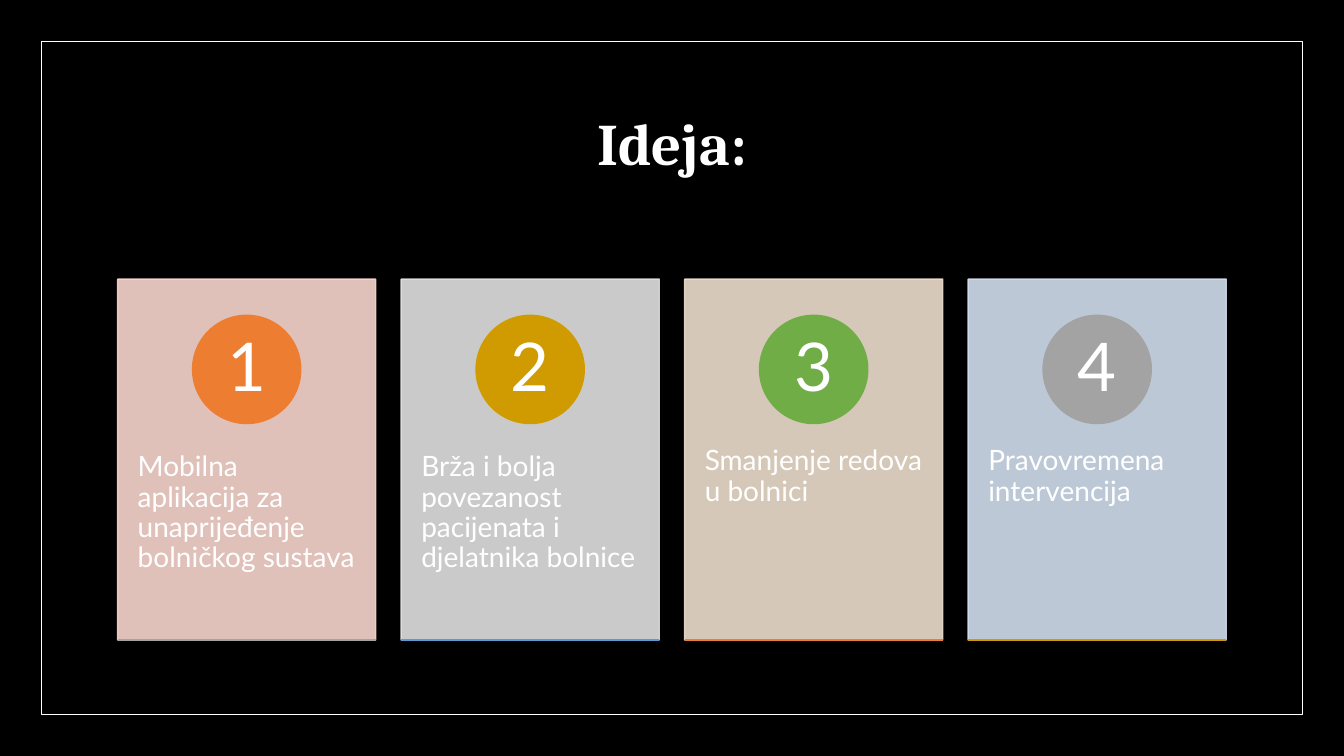
"""Build the slide of four numbered idea cards."""
from dataclasses import dataclass

from pptx import Presentation
from pptx.dml.color import RGBColor
from pptx.enum.shapes import MSO_CONNECTOR, MSO_SHAPE
from pptx.enum.text import MSO_ANCHOR, PP_ALIGN
from pptx.oxml.ns import qn
from pptx.util import Pt
from lxml import etree

RECT, OVAL = MSO_SHAPE.RECTANGLE, MSO_SHAPE.OVAL
LINE = MSO_CONNECTOR.STRAIGHT
TOP, MID = MSO_ANCHOR.TOP, MSO_ANCHOR.MIDDLE
LEFT, MIDDLE = PP_ALIGN.LEFT, PP_ALIGN.CENTER


@dataclass(frozen=True)
class Theme:
    """Hold colours, fonts and type sizes."""
    back: str = "000000"
    ink: str = "FFFFFF"
    rose: str = "F8D7CE"
    pale: str = "E0E0E0"
    sand: str = "EDDECC"
    ice: str = "D2DEEF"
    orange: str = "ED7D31"
    gold: str = "CF9B00"
    green: str = "70AD47"
    gray: str = "A3A3A3"
    blue: str = "5B9BD5"
    head: str = "Cambria"
    body: str = "Lato"
    title: int = 42
    digit: int = 48
    text: int = 20


class Deck:
    """Draw styled elements on the current slide."""

    def __init__(self, theme, slide):
        """Keep the style and paint the background."""
        self.theme, self.slide = theme, slide
        self.paint(slide.background.fill, theme.back)

    def paint(self, fill, color, alpha=100):
        """Set a solid fill with its opacity in percent."""
        fill.solid()
        fill.fore_color.rgb = RGBColor.from_string(color)
        if alpha < 100:
            node = fill._xPr.find(f"{qn('a:solidFill')}/{qn('a:srgbClr')}")
            etree.SubElement(node, qn("a:alpha"), val=str(alpha * 1000))

    def shape(self, kind, box, fill=None, line=None, width=1, alpha=100):
        """Add a preset shape."""
        item = self.slide.shapes.add_shape(kind, *map(Pt, box))
        item.shadow.inherit = False
        if fill:
            self.paint(item.fill, fill, alpha)
        else:
            item.fill.background()
        item.line.width = Pt(width)
        self.paint(item.line.fill, line or fill, alpha)

    def rule(self, x, y, width, color):
        """Add a level line."""
        item = self.slide.shapes.add_connector(LINE, Pt(x), Pt(y), Pt(x + width), Pt(y))
        item.line.width = Pt(1)
        self.paint(item.line.fill, color)
        etree.SubElement(item._element.spPr, qn("a:effectLst"))

    def put(self, frame, text, size, font, align, anchor, pad, bold=False):
        """Fill a text frame with one run."""
        frame.word_wrap = True
        frame.vertical_anchor = anchor
        frame.margin_left = frame.margin_right = Pt(pad[0])
        frame.margin_top = frame.margin_bottom = Pt(pad[1])
        para = frame.paragraphs[0]
        para.alignment = align
        para.line_spacing = 0.9
        run = para.add_run()
        run.text = text
        run.font.size, run.font.name, run.font.bold = Pt(size), font, bold
        run.font.color.rgb = RGBColor.from_string(self.theme.ink)

    def title(self, text, box):
        """Place and format the title placeholder."""
        item = self.slide.shapes.title
        item.left, item.top, item.width, item.height = map(Pt, box)
        self.put(item.text_frame, text, self.theme.title, self.theme.head,
                 MIDDLE, MID, (7.2, 3.6), True)

    def label(self, text, box, size, align, anchor, pad):
        """Add a text box."""
        item = self.slide.shapes.add_textbox(*map(Pt, box))
        self.put(item.text_frame, text, size, self.theme.body, align, anchor, pad)

    def card(self, x, digit, text, fill, disc, edge):
        """Add a numbered card."""
        top, width, high = 199.4, 184.4, 257.8
        size, inner = 77.3, 54.7
        mid = x + width / 2
        hub = top + 64.45
        self.shape(RECT, (x, top, width, high), fill, alpha=90)
        self.label(text, (x, top + 98, width, 154.7), self.theme.text,
                   LEFT, TOP, (14.4, 26))
        self.shape(OVAL, (mid - size / 2, hub - size / 2, size, size), disc)
        self.label(digit, (mid - inner / 2, hub - inner / 2, inner, inner),
                   self.theme.digit, MIDDLE, MID, (6, 1))
        self.rule(x, top + high, width, edge)


def main():
    """Build and save the slide."""
    show = Presentation()
    show.slide_width, show.slide_height = Pt(960), Pt(540)
    theme = Theme()
    deck = Deck(theme, show.slides.add_slide(show.slide_layouts[5]))
    deck.shape(RECT, (29.5, 29.5, 901, 481), line=theme.ink, width=0.5)
    deck.title("Ideja:", (84, 50.4, 792, 108))
    cards = (
        ("Mobilna aplikacija za unaprijeđenje bolničkog sustava",
         theme.rose, theme.orange, theme.gray),
        ("Brža i bolja povezanost pacijenata i djelatnika bolnice",
         theme.pale, theme.gold, theme.blue),
        ("Smanjenje redova u bolnici", theme.sand, theme.green, theme.orange),
        ("Pravovremena intervencija", theme.ice, theme.gray, theme.gold),
    )
    for spot, (text, fill, disc, edge) in enumerate(cards):
        deck.card(84 + 202.5 * spot, str(spot + 1), text, fill, disc, edge)
    show.save("out.pptx")


if __name__ == "__main__":
    main()
